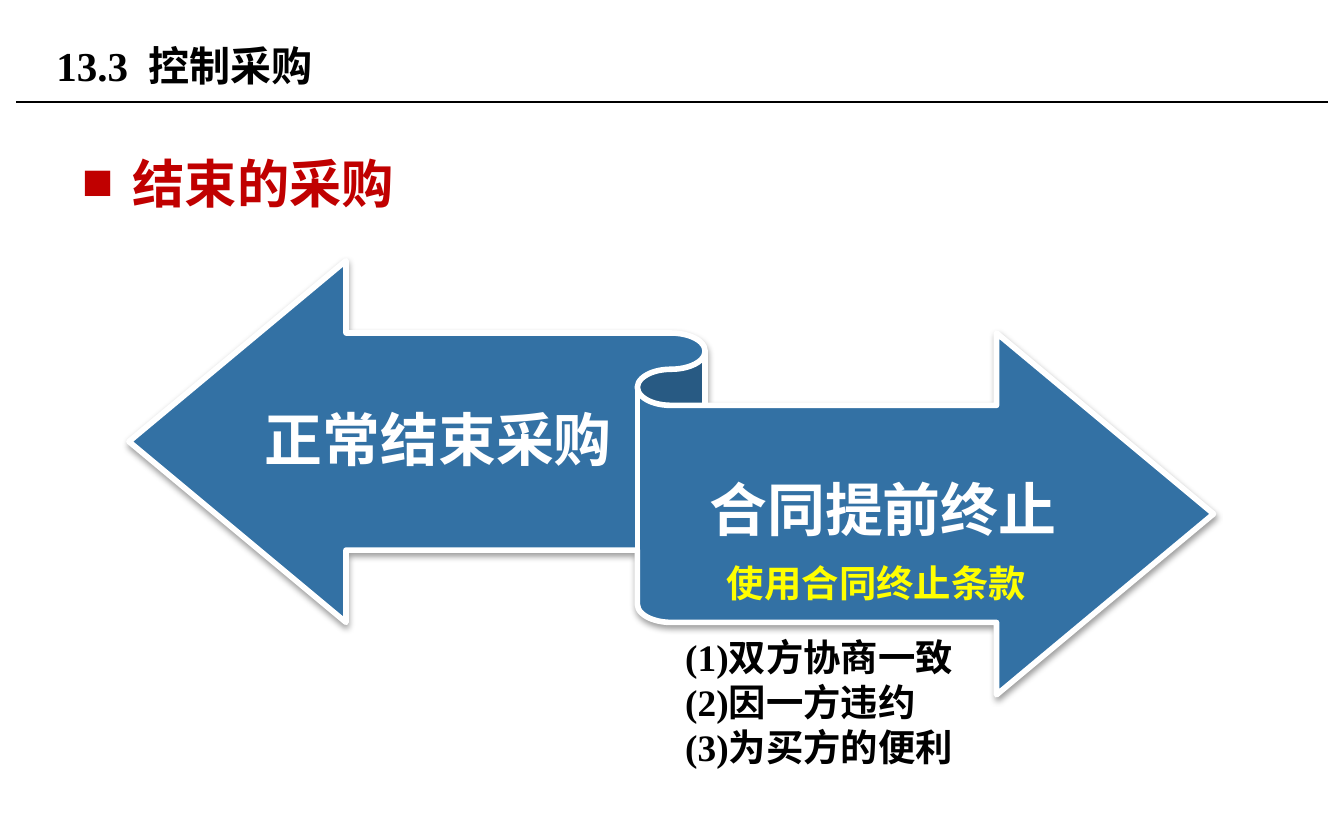
from dataclasses import dataclass

from lxml.etree import SubElement
from pptx import Presentation
from pptx.dml.color import RGBColor
from pptx.enum.shapes import MSO_CONNECTOR, MSO_SHAPE
from pptx.enum.text import MSO_ANCHOR, MSO_AUTO_SIZE, PP_ALIGN
from pptx.oxml.ns import qn
from pptx.util import Inches, Pt


@dataclass(frozen=True)
class Theme:
    """Colours, font and type sizes of the slide."""
    font: str = "Times New Roman"
    black: str = "000000"
    white: str = "FFFFFF"
    red: str = "C00000"
    yellow: str = "FFFF00"
    blue: str = "3371A4"
    title: int = 22
    heading: int = 28
    arrow: int = 31
    note: int = 20


T = Theme()


def set_attrs(obj, values):
    """Set each attribute named in a dict."""
    for name, value in values.items():
        setattr(obj, name, value)


def write(tf, lines, size, color, frame=None, para=None):
    """Fill a text frame with bold paragraphs in one format."""
    set_attrs(tf, {"word_wrap": True, **(frame or {})})
    for i, line in enumerate(lines):
        p = tf.paragraphs[0] if i == 0 else tf.add_paragraph()
        set_attrs(p, para or {})
        r = p.add_run()
        r.text = line
        set_attrs(r.font, {"name": T.font, "size": Pt(size), "bold": True})
        r.font.color.rgb = RGBColor.from_string(color)


def add_text(shapes, box, *args, **kwargs):
    """Add a text box at a box given in inches and return its frame."""
    tf = shapes.add_textbox(*map(Inches, box)).text_frame
    write(tf, *args, **kwargs)
    return tf


def add_effects(sp):
    """Return a fresh effect list on a shape."""
    for old in sp._element.spPr.findall(qn("a:effectLst")):
        sp._element.spPr.remove(old)
    return SubElement(sp._element.spPr, qn("a:effectLst"))


def header(s, box):
    """Place the title and the rule below it."""
    x, y, w, h = box
    title = s.shapes.title
    set_attrs(title, dict(zip(("left", "top", "width", "height"),
                              map(Inches, (x + 0.2, y, 6.38, 0.71)))))
    write(title.text_frame, ["13.3  控制采购"], T.title, T.black,
          {"vertical_anchor": MSO_ANCHOR.MIDDLE, "auto_size": MSO_AUTO_SIZE.NONE},
          {"alignment": PP_ALIGN.LEFT})
    rule = s.shapes.add_connector(MSO_CONNECTOR.STRAIGHT, Inches(x), Inches(y + h),
                                  Inches(x + w), Inches(y + h))
    rule.line.width = Pt(0.75)
    rule.line.color.rgb = RGBColor.from_string(T.black)
    add_effects(rule)


def heading(s, box):
    """Place the bulleted heading."""
    tf = add_text(s.shapes, box, ["结束的采购"], T.heading, T.red,
                  para={"line_spacing": 1.5})
    pPr = tf.paragraphs[0]._p.get_or_add_pPr()
    pPr.set("marL", str(Inches(0.38)))
    pPr.set("indent", str(-Inches(0.38)))
    SubElement(pPr, qn("a:buFont"), typeface=T.font)
    SubElement(pPr, qn("a:buChar"), char="■")


def ribbon(s, box):
    """Place the two-way ribbon with a label on each arrow."""
    x, y, w, h = box
    group = s.shapes.add_group_shape()
    sp = group.shapes.add_shape(MSO_SHAPE.LEFT_RIGHT_RIBBON, *map(Inches, box))
    sp.fill.solid()
    sp.fill.fore_color.rgb = RGBColor.from_string(T.blue)
    sp.line.color.rgb = RGBColor.from_string(T.white)
    sp.line.width = Pt(3)
    shadow = SubElement(add_effects(sp), qn("a:outerShdw"), blurRad=str(Pt(3.1)),
                        dist=str(Pt(1.6)), dir="5400000", rotWithShape="0")
    color = SubElement(shadow, qn("a:srgbClr"), val=T.black)
    SubElement(color, qn("a:alpha"), val="38000")
    frame = {"vertical_anchor": MSO_ANCHOR.MIDDLE, "margin_left": 0, "margin_right": 0,
             "margin_top": Inches(0.12), "margin_bottom": Inches(0.13)}
    para = {"alignment": PP_ALIGN.CENTER, "line_spacing": 0.9, "space_after": Pt(11)}
    labels = [("正常结束采购", 0.12 * w, 0.57, 0.33 * w),
              ("合同提前终止", 0.5 * w, 1.09, 0.39 * w)]
    for text, dx, dy, width in labels:
        add_text(group.shapes, (x + dx, y + dy, width, 0.49 * h), [text],
                 T.arrow, T.white, frame, para)


def termination(s, box):
    """Place the clause note and the list of reasons under it."""
    x, y, w, h = box
    grow = {"auto_size": MSO_AUTO_SIZE.SHAPE_TO_FIT_TEXT}
    add_text(s.shapes, (x + 0.31, y, 2.52, 0.44), ["使用合同终止条款"],
             T.note, T.yellow, grow)
    reasons = ["双方协商一致", "因一方违约", "为买方的便利"]
    add_text(s.shapes, (x, y + 0.55, 2.36, h - 0.55),
             [f"({i}){reason}" for i, reason in enumerate(reasons, 1)],
             T.note, T.black, grow)


def main():
    """Build and save the slide."""
    prs = Presentation()
    set_attrs(prs, {"slide_width": Inches(10), "slide_height": Inches(6.25)})
    s = prs.slides.add_slide(prs.slide_layouts[5])
    header(s, (0.12, 0.13, 9.76, 0.63))
    heading(s, (0.51, 0.84, 8.98, 3.9))
    ribbon(s, (0.96, 1.94, 8.07, 3.23))
    termination(s, (5, 4.12, 2.83, 1.66))
    prs.save("out.pptx")


main()
